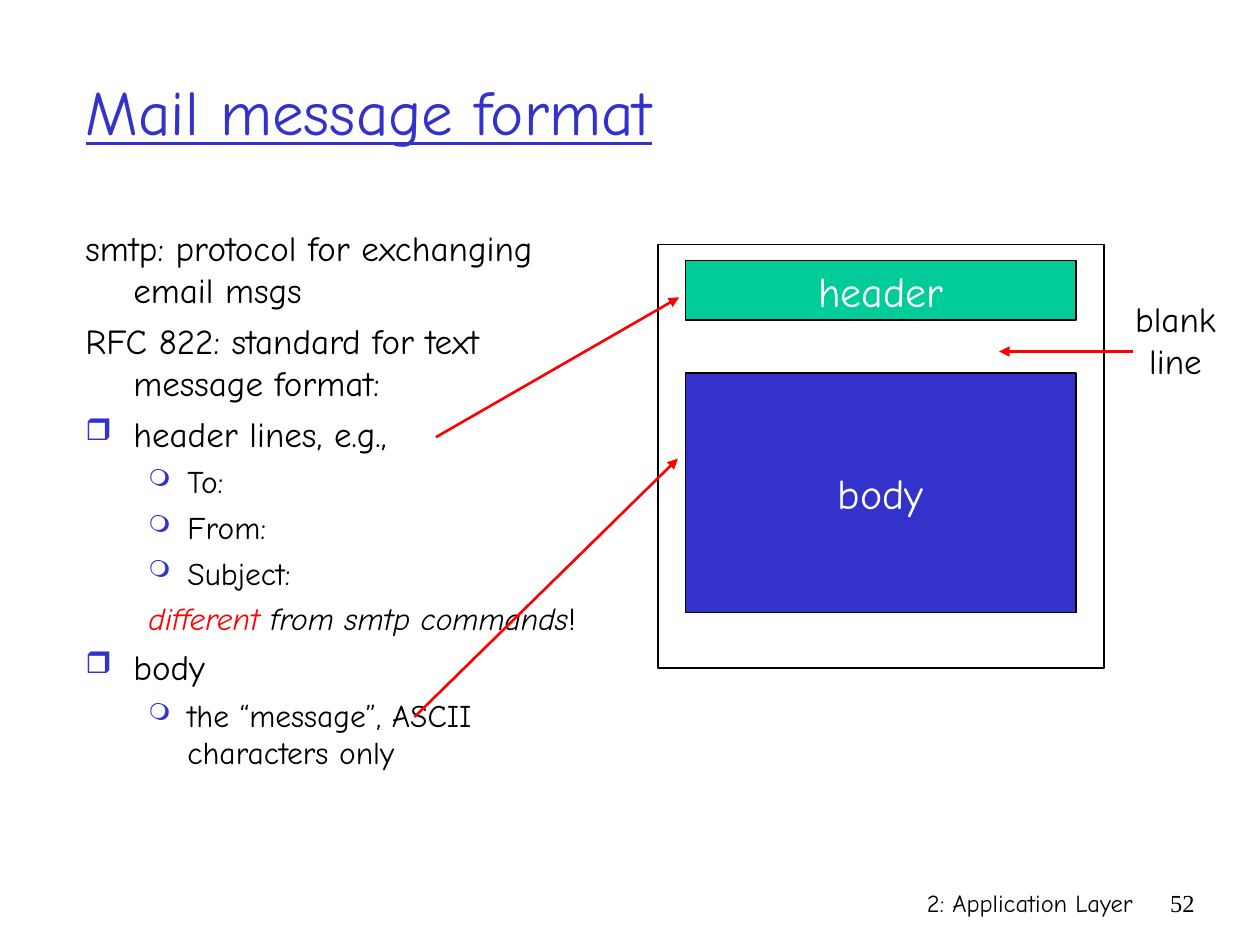
from dataclasses import dataclass
from typing import Optional

from lxml import etree
from pptx import Presentation
from pptx import util as u
from pptx.dml import color
from pptx.enum import shapes, text
from pptx.oxml import ns

FONT = "Comic Neue"
BLUE, RED, GREEN = "3333CC", "FF0000", "00CC99"
BLACK, WHITE = "000000", "FFFFFF"
LEFT, MID, RIGHT = text.PP_ALIGN.LEFT, text.PP_ALIGN.CENTER, text.PP_ALIGN.RIGHT


@dataclass
class Area:
    x: float
    y: float
    w: float
    h: float

    def dims(self) -> tuple:
        return tuple(u.Inches(n) for n in (self.x, self.y, self.w, self.h))


@dataclass
class Run:
    text: str
    size: float
    hue: str = BLACK
    name: str = FONT
    italic: bool = False
    underline: bool = False


@dataclass
class Label:
    area: Area
    lines: list
    align: int = LEFT
    wrap: bool = True


@dataclass
class Block:
    area: Area
    width: float
    fill: Optional[str] = None
    word: str = ""


@dataclass
class Arrow:
    start: tuple
    end: tuple


@dataclass
class Level:
    size: float
    margin: float
    indent: float
    before: float
    mark: str
    scale: int


@dataclass
class Item:
    level: Level
    runs: list
    marked: bool = True


def rgb(code: str) -> color.RGBColor:
    return color.RGBColor.from_string(code)


def assign(obj, **values) -> None:
    for key, value in values.items():
        setattr(obj, key, value)


def add_run(par, run: Run) -> None:
    part = par.add_run()
    part.text = run.text
    assign(part.font, size=u.Pt(run.size), name=run.name,
           italic=run.italic, underline=run.underline)
    part.font.color.rgb = rgb(run.hue)


def add_par(frame, index: int):
    return frame.add_paragraph() if index else frame.paragraphs[0]


def add_label(slide, label: Label) -> None:
    frame = slide.shapes.add_textbox(*label.area.dims()).text_frame
    frame.word_wrap = label.wrap
    for i, run in enumerate(label.lines):
        par = add_par(frame, i)
        par.alignment = label.align
        add_run(par, run)


def add_block(slide, block: Block) -> None:
    shape = slide.shapes.add_shape(shapes.MSO_SHAPE.RECTANGLE, *block.area.dims())
    shape.shadow.inherit = False
    shape.line.color.rgb = rgb(BLACK)
    shape.line.width = u.Pt(block.width)
    if block.fill:
        shape.fill.solid()
        shape.fill.fore_color.rgb = rgb(block.fill)
    else:
        shape.fill.background()
    if block.word:
        frame = shape.text_frame
        assign(frame, word_wrap=False, vertical_anchor=text.MSO_ANCHOR.MIDDLE)
        par = frame.paragraphs[0]
        par.alignment = MID
        add_run(par, Run(block.word, 24, WHITE))


def add_arrow(slide, arrow: Arrow) -> None:
    ends = [u.Inches(n) for n in arrow.start + arrow.end]
    line = slide.shapes.add_connector(shapes.MSO_CONNECTOR.STRAIGHT, *ends)
    line.line.color.rgb = rgb(RED)
    line.line.width = u.Pt(1.5)
    props = line._element.spPr
    etree.SubElement(line.line._get_or_add_ln(), ns.qn("a:tailEnd"), type="triangle")
    etree.SubElement(props, ns.qn("a:effectLst"))


def add_mark(par, level: Level, marked: bool) -> None:
    props = par._p.get_or_add_pPr()
    props.set("marL", str(u.Inches(level.margin)))
    props.set("indent", str(u.Inches(level.indent)))
    if not marked:
        etree.SubElement(props, ns.qn("a:buNone"))
        return
    tint = etree.SubElement(props, ns.qn("a:buClr"))
    etree.SubElement(tint, ns.qn("a:srgbClr"), val=BLUE)
    etree.SubElement(props, ns.qn("a:buSzPct"), val=str(level.scale * 1000))
    etree.SubElement(props, ns.qn("a:buChar"), char=level.mark)


def add_list(slide, area: Area, items: list) -> None:
    frame = slide.shapes.add_textbox(*area.dims()).text_frame
    frame.word_wrap = True
    for i, item in enumerate(items):
        par = add_par(frame, i)
        add_mark(par, item.level, item.marked)
        if i:
            par.space_before = u.Pt(item.level.before)
        for run in item.runs:
            add_run(par, run)


def add_title(slide, area: Area, run: Run) -> None:
    title = slide.shapes.title
    assign(title, **dict(zip(("left", "top", "width", "height"), area.dims())))
    frame = title.text_frame
    assign(frame, word_wrap=True, auto_size=text.MSO_AUTO_SIZE.NONE,
           vertical_anchor=text.MSO_ANCHOR.MIDDLE)
    par = frame.paragraphs[0]
    par.alignment = LEFT
    add_run(par, run)


TOP = Level(20, 0.38, -0.38, 5, "❒", 85)
SUB = Level(18, 0.81, -0.31, 4.5, "❍", 75)


def point(level: Level, words: str, marked: bool = True) -> Item:
    return Item(level, [Run(words, level.size)], marked)


ITEMS = [
    point(TOP, "smtp: protocol for exchanging email msgs", False),
    point(TOP, "RFC 822: standard for text message format:", False),
    point(TOP, "header lines, e.g.,"),
    *[point(SUB, word) for word in ("To:", "From:", "Subject:")],
    Item(SUB, [Run("different ", 18, RED, italic=True),
               Run("from smtp commands", 18, italic=True),
               Run("!", 18)], False),
    point(TOP, "body"),
    point(SUB, "the “message”, ASCII characters only"),
]
LABELS = [
    Label(Area(5.92, 7, 3.17, 0.5), [Run("2: Application Layer", 14)], RIGHT),
    Label(Area(9.08, 7, 0.5, 0.5), [Run("52", 14, name="Times New Roman")], RIGHT),
    Label(Area(8.91, 2.31, 0.84, 0.77), [Run("blank", 20), Run("line", 20)], MID, False),
]
BLOCKS = [
    Block(Area(5.44, 2.07, 3.1, 0.47), 0.75, GREEN, "header"),
    Block(Area(5.44, 2.96, 3.1, 1.9), 0.75, BLUE, "body"),
    Block(Area(5.22, 1.94, 3.54, 3.36), 1),
]
ARROWS = [
    Arrow((3.46, 3.47), (5.39, 2.36)),
    Arrow((3.29, 5.69), (5.38, 3.64)),
    Arrow((8.99, 2.79), (7.93, 2.79)),
]


def main() -> None:
    deck = Presentation()
    assign(deck, slide_width=u.Inches(10), slide_height=u.Inches(7.5))
    slide = deck.slides.add_slide(deck.slide_layouts[5])
    add_title(slide, Area(0.58, 0.25, 8.5, 1.25),
              Run("Mail message format", 36, BLUE, underline=True))
    add_list(slide, Area(0.58, 1.75, 4.17, 5.08), ITEMS)
    for draw, things in ((add_block, BLOCKS), (add_label, LABELS), (add_arrow, ARROWS)):
        for thing in things:
            draw(slide, thing)
    deck.save("out.pptx")


if __name__ == "__main__":
    main()
